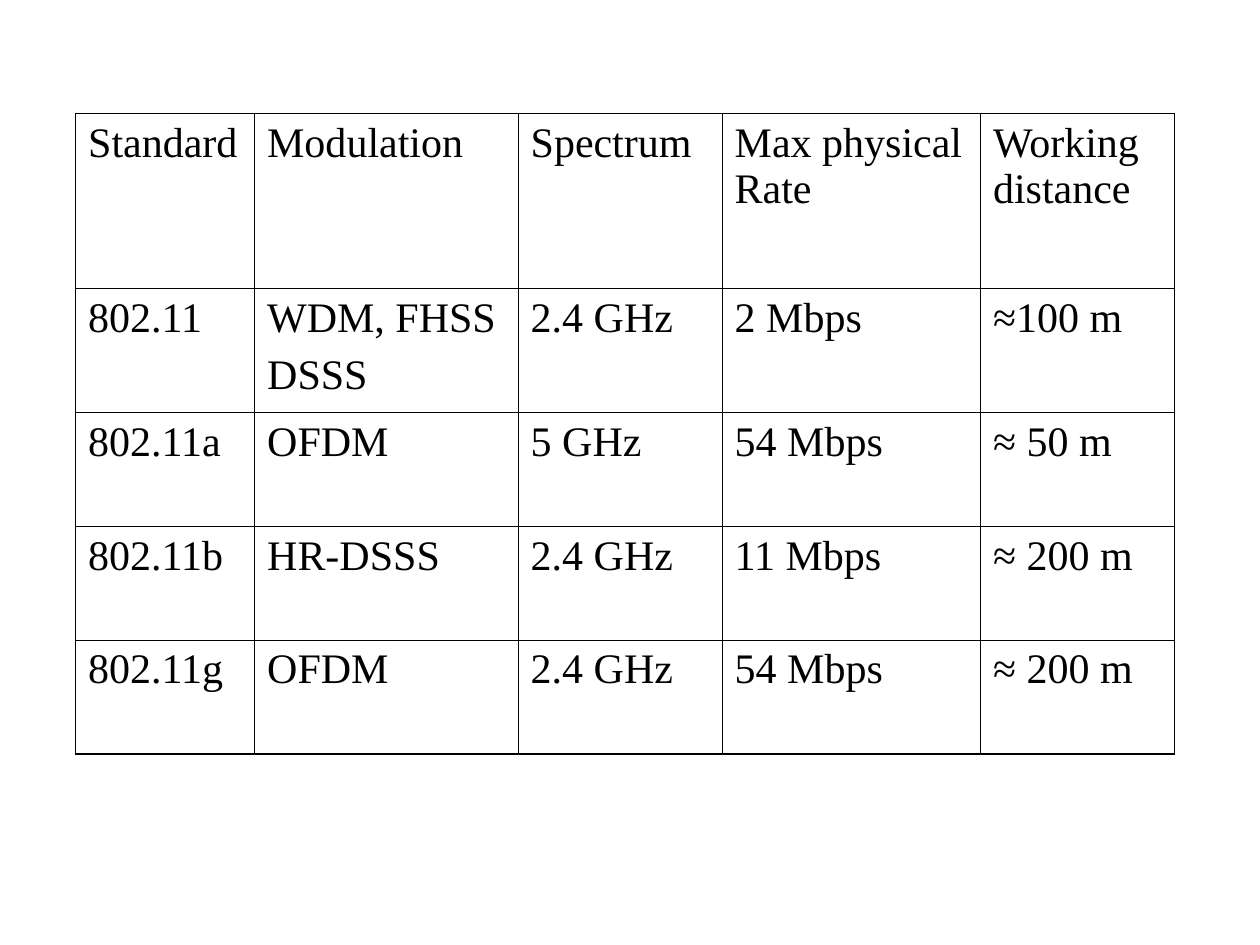
from lxml import etree
from pptx import Presentation
from pptx import util as u
from pptx.dml import color
from pptx.oxml import ns

COLOURS = {"ink": "000000"}
FONT = "Times New Roman"
OUTER, INNER = u.Pt(1.08), u.Pt(0.45)
WIDTHS = [102.3, 150.6, 116.6, 147.6, 111]
HEIGHTS = [100, 71, 65, 65, 65]
STANDARDS = [
    ["Standard", "Modulation", "Spectrum", "Max physical Rate", "Working distance"],
    ["802.11", "WDM, FHSS\nDSSS", "2.4 GHz", "2 Mbps", "≈100 m"],
    ["802.11a", "OFDM", "5 GHz", "54 Mbps", "≈ 50 m"],
    ["802.11b", "HR-DSSS", "2.4 GHz", "11 Mbps", "≈ 200 m"],
    ["802.11g", "OFDM", "2.4 GHz", "54 Mbps", "≈ 200 m"],
]


def add_border(cell, side, width):
    line = etree.SubElement(cell._tc.get_or_add_tcPr(), ns.qn(f"a:{side}"), w=str(width))
    fill = etree.SubElement(line, ns.qn("a:solidFill"))
    etree.SubElement(fill, ns.qn("a:srgbClr"), val=COLOURS["ink"])


deck = Presentation()
deck.slide_width, deck.slide_height = u.Pt(720), u.Pt(540)
page = deck.slides.add_slide(deck.slide_layouts[6])

frame = page.shapes.add_table(
    len(HEIGHTS), len(WIDTHS), u.Pt(43.2), u.Pt(64.8), u.Pt(sum(WIDTHS)), u.Pt(sum(HEIGHTS))
)
table = frame.table
table.first_row = table.horz_banding = False
for column, width in zip(table.columns, WIDTHS):
    column.width = u.Pt(width)
for row, height in zip(table.rows, HEIGHTS):
    row.height = u.Pt(height)

last_row, last_column = len(HEIGHTS) - 1, len(WIDTHS) - 1
for r, values in enumerate(STANDARDS):
    for c, value in enumerate(values):
        cell = table.cell(r, c)
        edges = {"lnL": c == 0, "lnR": c == last_column, "lnT": r == 0, "lnB": r == last_row}
        for side, is_outer in edges.items():
            add_border(cell, side, OUTER if is_outer else INNER)
        cell.fill.background()
        for i, line in enumerate(value.split("\n")):
            para = cell.text_frame.add_paragraph() if i else cell.text_frame.paragraphs[0]
            if i:
                para.space_before = u.Pt(6)
            span = para.add_run()
            span.text = line
            span.font.name = FONT
            span.font.size = u.Pt(24)
            span.font.color.rgb = color.RGBColor.from_string(COLOURS["ink"])

deck.save("out.pptx")
